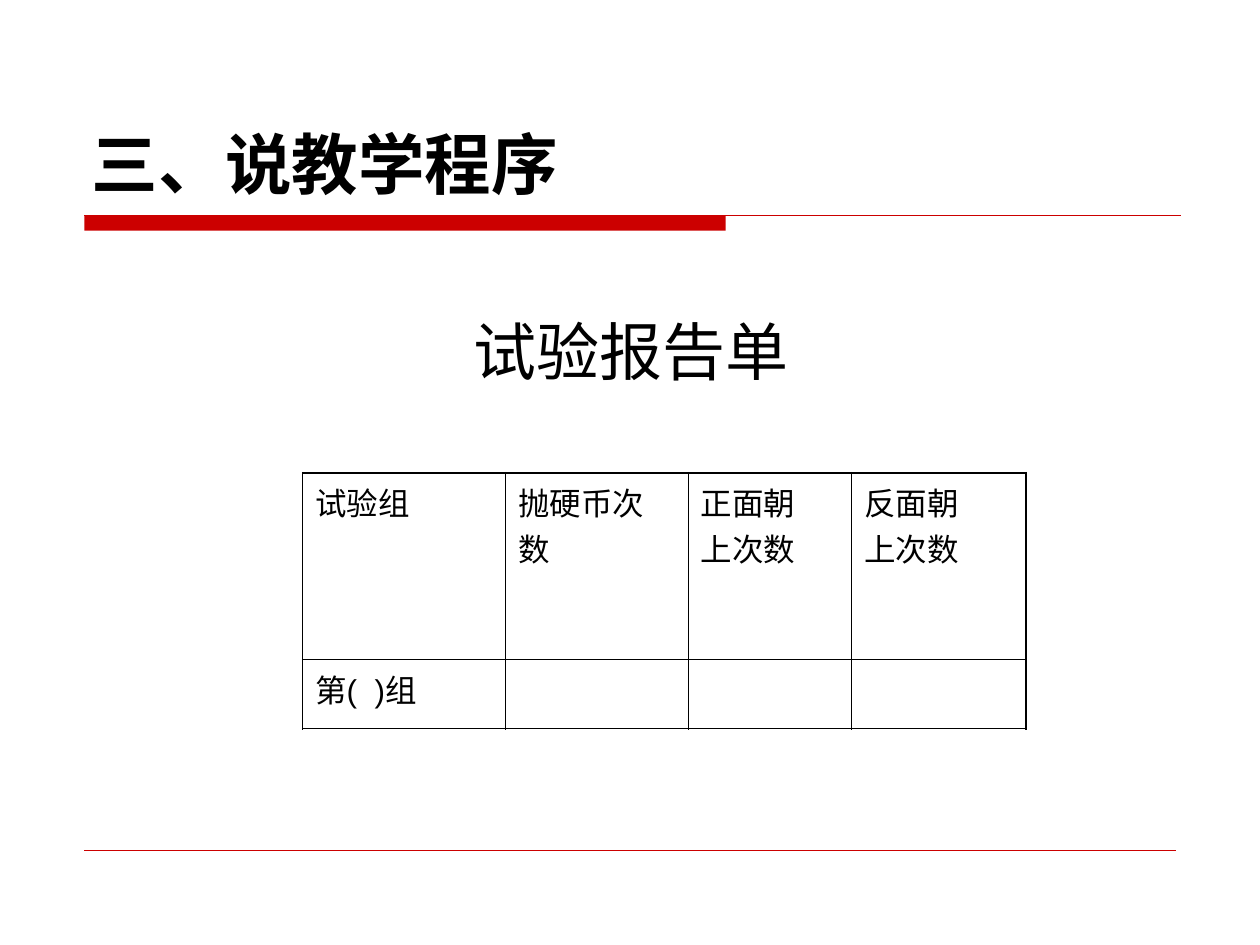
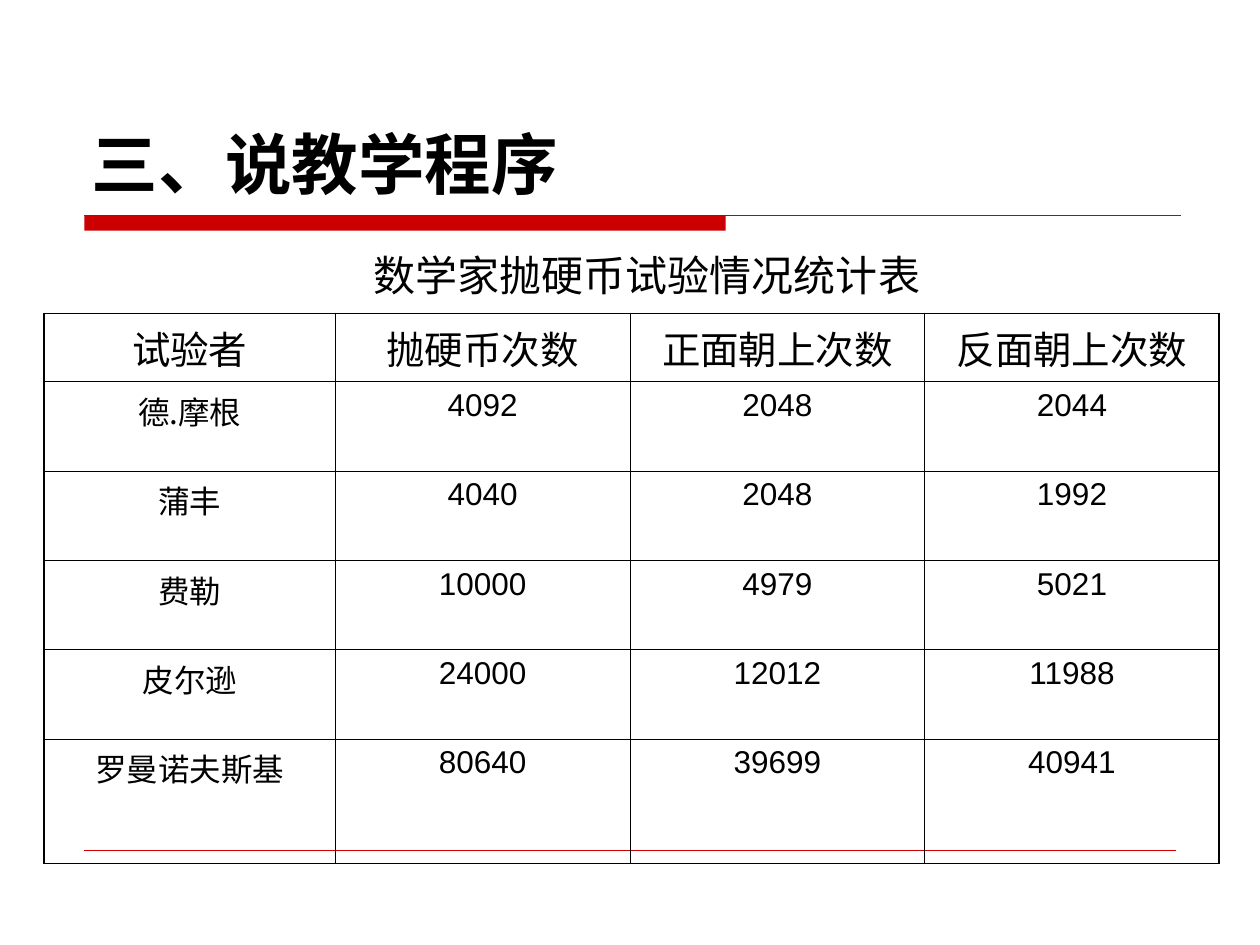
from lxml.etree import SubElement
from pptx import Presentation
from pptx.dml.color import RGBColor as RGB
from pptx.enum.shapes import MSO_CONNECTOR as LINE, MSO_SHAPE as SHAPE
from pptx.enum.text import MSO_ANCHOR as ANCHOR, MSO_AUTO_SIZE as FIT, PP_ALIGN as ALIGN
from pptx.oxml import parse_xml
from pptx.oxml.ns import nsdecls, qn
from pptx.util import Cm, Pt

COLORS = {"red": "CC0000", "text": "000000", "border": "000000"}
CJK = "Noto Sans CJK SC"
THICK, THIN = Pt(1.08), Pt(0.45)


def write(tf, lines, align=ALIGN.LEFT, **fmt):
    """Fill a text frame; a line is a string or a tuple of runs."""
    for i, line in enumerate(lines):
        p = tf.add_paragraph() if i else tf.paragraphs[0]
        p.alignment = align
        p.space_before = Pt(0)
        for part in (line,) if isinstance(line, str) else line:
            r = p.add_run()
            r.text = part
            r.font.color.rgb = RGB.from_string(COLORS["text"])
            for key, value in {"name": "Arial", "bold": False, **fmt}.items():
                setattr(r.font, key, value)
            if part == ".":
                r.font.name = CJK


def add_grid(s, left, top, widths, heights, rows, align, head_size, body_size):
    """Add an unfilled table with a thick frame and thin inner borders."""
    nr, nc = len(heights), len(widths)
    tbl = s.shapes.add_table(nr, nc, Cm(left), Cm(top),
                             Cm(sum(widths)), Cm(sum(heights))).table
    tbl.first_row = tbl.horz_banding = False
    for col, width in zip(tbl.columns, widths):
        col.width = Cm(width)
    for i, (row, height) in enumerate(zip(tbl.rows, heights)):
        row.height = Cm(height)
        for j, cell in enumerate(row.cells):
            value = rows[i][j]
            write(cell.text_frame, value if isinstance(value, list) else [value],
                  align, size=body_size if i else head_size)
            on_frame = {"lnL": j == 0, "lnR": j == nc - 1,
                        "lnT": i == 0, "lnB": i == nr - 1}
            tcPr = cell._tc.get_or_add_tcPr()
            for side, thick in on_frame.items():
                tcPr.append(parse_xml(
                    f'<a:{side} {nsdecls("a")} w="{THICK if thick else THIN}"><a:solidFill>'
                    f'<a:srgbClr val="{COLORS["border"]}"/></a:solidFill></a:{side}>'))
            cell.fill.background()


prs = Presentation()
prs.slide_width, prs.slide_height = Cm(25.4), Cm(19.05)
red = RGB.from_string(COLORS["red"])

# Shared title, title bar and rules
report = prs.slides.add_slide(prs.slide_layouts[1])
stats = prs.slides.add_slide(prs.slide_layouts[5])
for s in (report, stats):
    title = s.shapes.title
    title.left, title.top, title.width, title.height = Cm(1.6), Cm(0.84), Cm(22.23), Cm(3.38)
    tf = title.text_frame
    tf.vertical_anchor = ANCHOR.BOTTOM
    tf.auto_size = FIT.NONE
    write(tf, ["三、说教学程序"], size=Pt(38), bold=True)

    bar = s.shapes.add_shape(SHAPE.RECTANGLE, Cm(1.7), Cm(4.34), Cm(12.93), Cm(0.31))
    bar.shadow.inherit = False
    bar.fill.solid()
    bar.fill.fore_color.rgb = red
    bar.line.fill.background()
    for y, right, weight in ((4.34, 23.8, 0.75), (17.15, 23.7, 0.25)):
        rule = s.shapes.add_connector(LINE.STRAIGHT, Cm(1.7), Cm(y), Cm(right), Cm(y))
        rule.line.color.rgb = red
        rule.line.width = Pt(weight)
        SubElement(rule._element.spPr, qn("a:effectLst"))

# Slide 1: report form heading
body = report.placeholders[1]
body.left, body.top, body.width, body.height = Cm(1.57), Cm(4.88), Cm(22.12), Cm(11.86)
tf = body.text_frame
tf.auto_size = FIT.NONE
tf.margin_left, tf.margin_top = Cm(0.45), Cm(1.42)
write(tf, ["试验报告单"], ALIGN.CENTER, size=Pt(36))
pPr = tf.paragraphs[0]._p.get_or_add_pPr()
pPr.set("marL", "0")
pPr.set("indent", "0")
SubElement(pPr, qn("a:buNone"))

# Slide 1: blank form
add_grid(report, 6.1, 9.53, [4.09, 3.68, 3.3, 3.51], [3.76, 1.4], [
    ["试验组", "抛硬币次数", ["正面朝", "上次数"], ["反面朝", "上次数"]],
    ["第(  )组", "", "", ""],
], ALIGN.LEFT, Pt(18), Pt(18))

# Slide 2: results of the mathematicians
add_grid(stats, 0.89, 6.32, [5.87] + [5.94] * 3, [1.22] + [1.8] * 4 + [2.51], [
    ["试验者", "抛硬币次数", "正面朝上次数", "反面朝上次数"],
    [("德", ".", "摩根"), "4092", "2048", "2044"],
    ["蒲丰", "4040", "2048", "1992"],
    ["费勒", "10000", "4979", "5021"],
    ["皮尔逊", "24000", "12012", "11988"],
    ["罗曼诺夫斯基", "80640", "39699", "40941"],
], ALIGN.CENTER, Pt(22), Pt(18))

# Slide 2: table caption
caption = stats.shapes.add_textbox(Cm(7.29), Cm(4.9), Cm(11.51), Cm(1.27))
tf = caption.text_frame
tf.word_wrap = False
write(tf, ["数学家抛硬币试验情况统计表"], size=Pt(24), name="DejaVu Sans")

prs.save("out.pptx")
